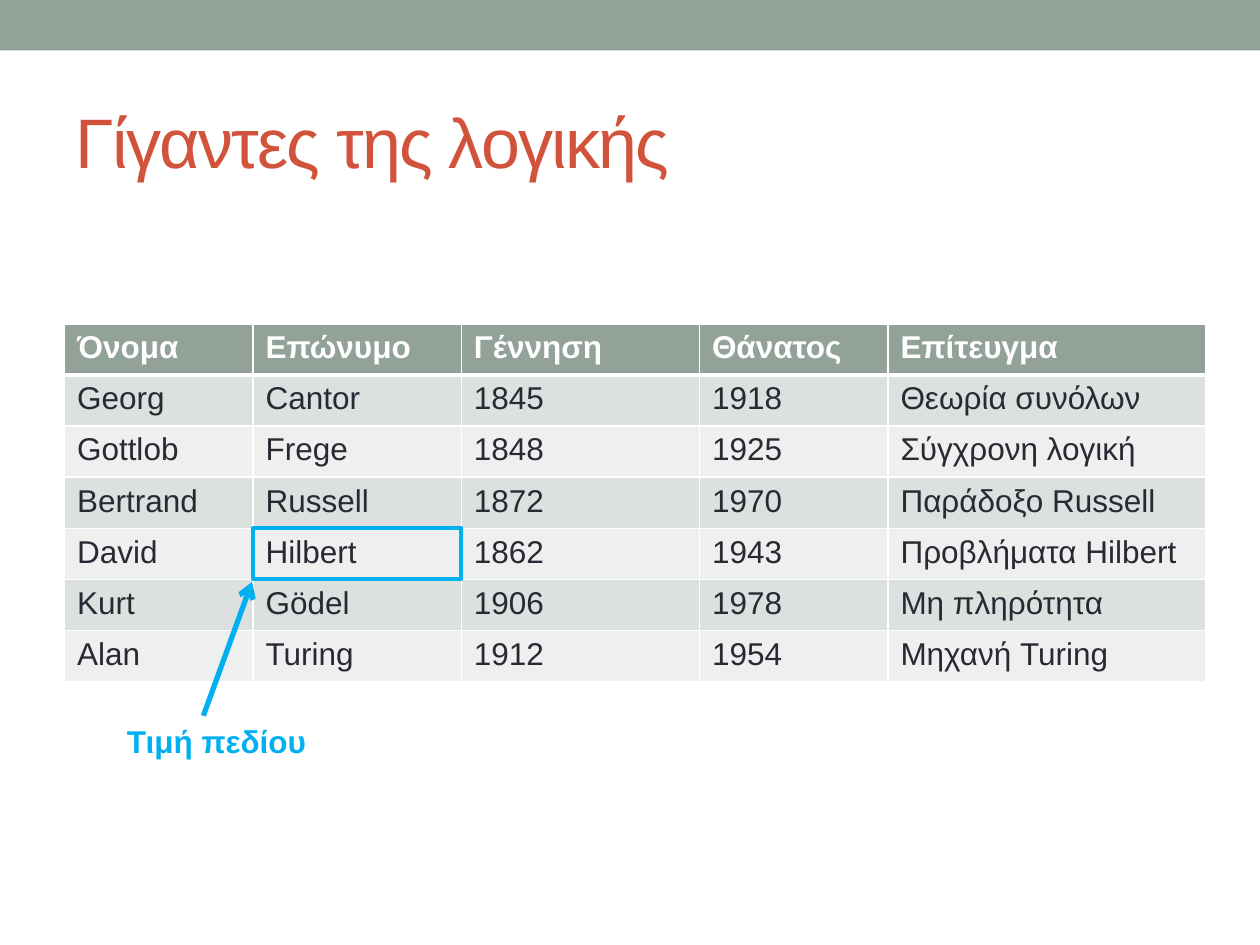
"""Build a slide with a table of logicians and one marked field value."""
from lxml.etree import SubElement
from pptx import Presentation
from pptx.dml.color import RGBColor
from pptx.enum.shapes import MSO_CONNECTOR as Link, MSO_SHAPE as Kind
from pptx.enum.text import MSO_ANCHOR as Anchor, PP_ALIGN as Align
from pptx.oxml import parse_xml
from pptx.oxml.ns import nsdecls, qn
from pptx.util import Cm, Pt

TITLE = "Γίγαντες της λογικής"
NOTE = "Τιμή πεδίου"
ROWS = [
    ("Όνομα", "Επώνυμο", "Γέννηση", "Θάνατος", "Επίτευγμα"),
    ("Georg", "Cantor", "1845", "1918", "Θεωρία συνόλων"),
    ("Gottlob", "Frege", "1848", "1925", "Σύγχρονη λογική"),
    ("Bertrand", "Russell", "1872", "1970", "Παράδοξο Russell"),
    ("David", "Hilbert", "1862", "1943", "Προβλήματα Hilbert"),
    ("Kurt", "Gödel", "1906", "1978", "Μη πληρότητα"),
    ("Alan", "Turing", "1912", "1954", "Μηχανή Turing"),
]
WIDTHS = [3.8, 4.2, 4.8, 3.8, 6.4]
LEFT, TOP, HIGH = 1.3, 6.53, 1.03
MARK_ROW, MARK_COL = 4, 1
SAGE, DARK, LIGHT = "93A299", "DCE0DE", "EEF0EF"
WHITE, INK, RED, BLUE = "FFFFFF", "292934", "D2533C", "00B0F0"


def paint(part, color):
    part.solid()
    part.fore_color.rgb = RGBColor.from_string(color)


def write(frame, text, size, color, bold=False):
    para = frame.paragraphs[0]
    para.alignment = Align.LEFT
    run = para.add_run()
    run.text = text
    run.font.name, run.font.size, run.font.bold = "Arial", Pt(size), bold
    paint(run.font.fill, color)
    return run


def edge(cell, side, width):
    return parse_xml(
        f'<a:{side} {nsdecls("a")} w="{Pt(width)}"><a:solidFill>'
        f'<a:srgbClr val="{WHITE}"/></a:solidFill></a:{side}>')


def add_bar(slide):
    bar = slide.shapes.add_shape(Kind.RECTANGLE, 0, 0, Cm(25.4), Cm(1.02))
    bar.shadow.inherit = False
    paint(bar.fill, SAGE)
    bar.line.fill.background()


def add_title(slide):
    title = slide.shapes.title
    title.left, title.top = Cm(1.27), Cm(1.47)
    title.width, title.height = Cm(22.86), Cm(2.74)
    title.text_frame.vertical_anchor = Anchor.MIDDLE
    run = write(title.text_frame, TITLE, 40, RED)
    run.font._element.set("spc", "-100")


def add_grid(slide):
    grid = slide.shapes.add_table(
        len(ROWS), len(WIDTHS), Cm(LEFT), Cm(TOP),
        Cm(sum(WIDTHS)), Cm(HIGH * len(ROWS))).table
    for col, width in zip(grid.columns, WIDTHS):
        col.width = Cm(width)
    for r, texts in enumerate(ROWS):
        grid.rows[r].height = Cm(HIGH)
        back = DARK if r % 2 else LIGHT if r else SAGE
        for c, text in enumerate(texts):
            cell = grid.cell(r, c)
            write(cell.text_frame, text, 18, INK if r else WHITE, r == 0)
            paint(cell.fill, back)
            widths = {"lnL": 1, "lnR": 1, "lnT": 3 if r == 1 else 1,
                      "lnB": 1 if r else 3}
            props = cell._tc.get_or_add_tcPr()
            for i, (side, width) in enumerate(widths.items()):
                props.insert(i, edge(cell, side, width))


def add_mark(slide):
    left, top = LEFT + sum(WIDTHS[:MARK_COL]), TOP + HIGH * MARK_ROW
    box = slide.shapes.add_shape(
        Kind.RECTANGLE, Cm(left), Cm(top), Cm(WIDTHS[MARK_COL]), Cm(HIGH))
    box.shadow.inherit = False
    box.fill.background()
    paint(box.line.fill, BLUE)
    box.line.width = Pt(2.08)

    arrow = slide.shapes.add_connector(
        Link.STRAIGHT, Cm(4.1), Cm(14.43), Cm(5.08), Cm(11.73))
    paint(arrow.line.fill, BLUE)
    arrow.line.width = Pt(3)
    SubElement(arrow.line._get_or_add_ln(), qn("a:tailEnd"), type="arrow")
    SubElement(arrow._element.spPr, qn("a:effectLst"))

    note = slide.shapes.add_textbox(Cm(2.31), Cm(14.43), Cm(6.6), Cm(1.02))
    note.text_frame.word_wrap = True
    write(note.text_frame, NOTE, 18, BLUE, True)


def main():
    deck = Presentation()
    deck.slide_width, deck.slide_height = Cm(25.4), Cm(19.05)
    slide = deck.slides.add_slide(deck.slide_layouts[5])
    add_bar(slide)
    add_title(slide)
    add_grid(slide)
    add_mark(slide)
    deck.save("out.pptx")


if __name__ == "__main__":
    main()
